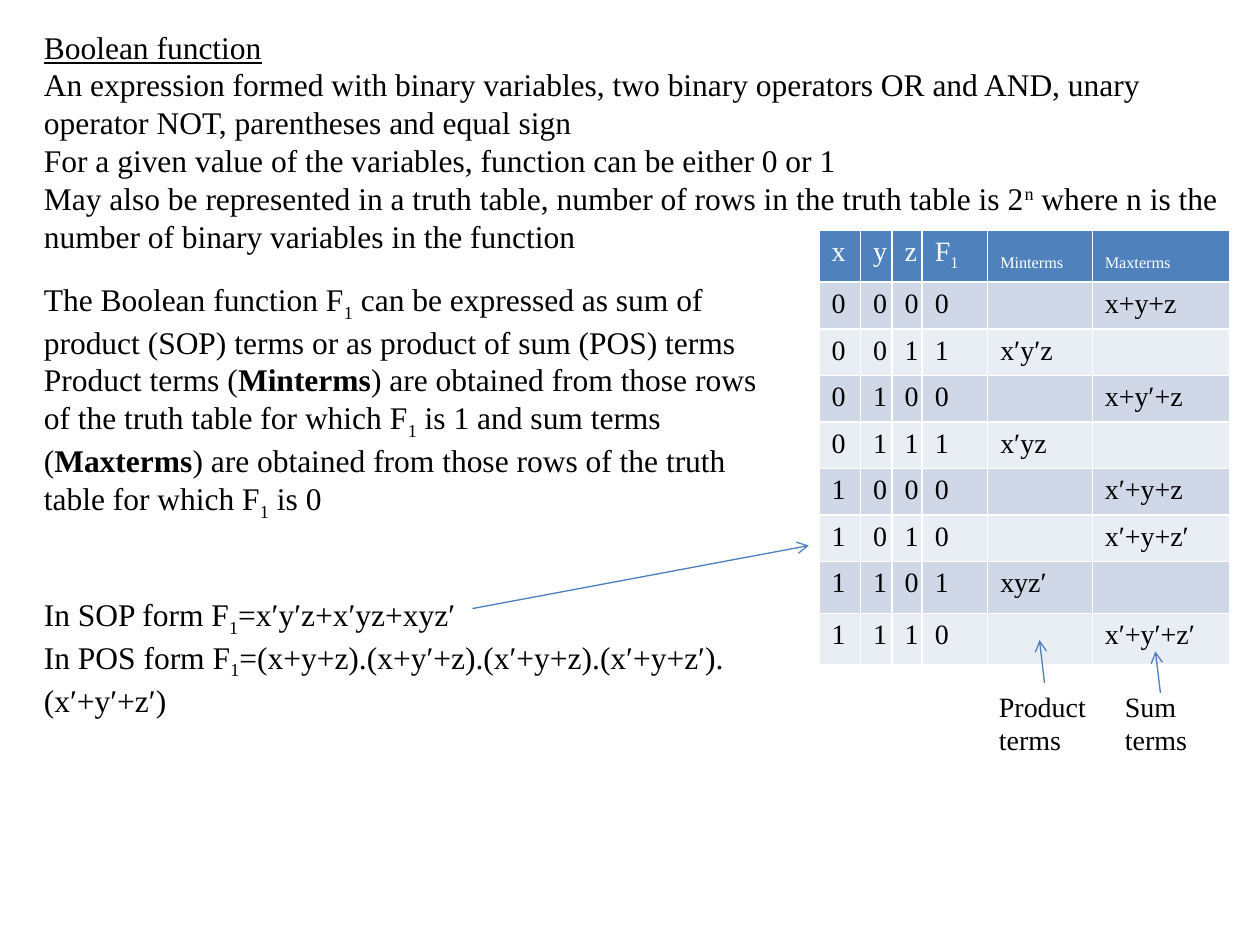
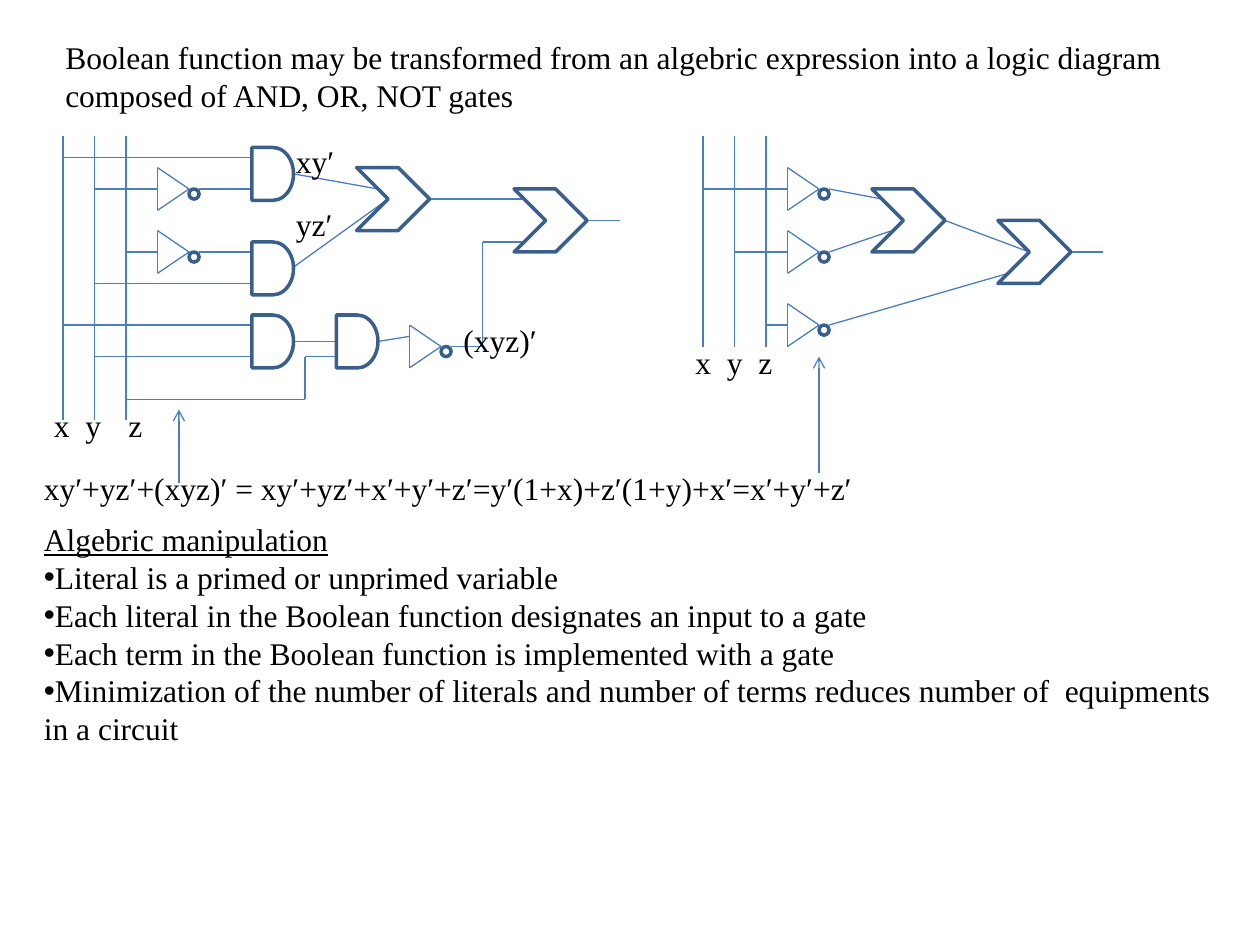
import pptx
import pptx.dml.color
import pptx.enum.shapes
import pptx.enum.text
import pptx.oxml.ns
import pptx.util
import lxml.etree

Inches = pptx.util.Inches
Pt = pptx.util.Pt
qn = pptx.oxml.ns.qn
color = pptx.dml.color.RGBColor.from_string
MSO_SHAPE = pptx.enum.shapes.MSO_SHAPE

FONT = "Times New Roman"
BLACK, WHITE = "000000", "FFFFFF"
WIRE, GATE = "4B7EBC", "3A5F8C"
HEADER, BAND_DARK, BAND_LIGHT = "4F81BD", "D0D8E8", "E9EDF4"
BASELINES = {"sub": "-25000", "sup": "30000"}
SUB_1 = ("1", "sub")


def write(frame, paragraphs, size=18, ink=BLACK):
    frame.word_wrap = True
    for number, pieces in enumerate(paragraphs):
        paragraph = frame.add_paragraph() if number else frame.paragraphs[0]
        paragraph.font.name = FONT
        paragraph.font.size = Pt(size)
        paragraph.font.color.rgb = color(ink)
        paragraph.font.bold = False
        for piece in [pieces] if isinstance(pieces, str) else pieces:
            text, style = (piece, None) if isinstance(piece, str) else piece
            run = paragraph.add_run()
            run.text = text
            if style == "bold":
                run.font.bold = True
            elif style == "underline":
                run.font.underline = True
            elif style:
                run.font._element.set("baseline", BASELINES[style])


def wire(slide, x1, y1, x2, y2, arrow=False):
    connector = slide.shapes.add_connector(
        pptx.enum.shapes.MSO_CONNECTOR.STRAIGHT,
        Inches(x1), Inches(y1), Inches(x2), Inches(y2))
    connector.line.color.rgb = color(WIRE)
    connector.line.width = Pt(0.75)
    if arrow:
        lxml.etree.SubElement(connector.line._get_or_add_ln(), qn("a:tailEnd"), type="arrow")
    lxml.etree.SubElement(connector._element.spPr, qn("a:effectLst"))


deck = pptx.Presentation()
deck.slide_width, deck.slide_height = Inches(10), Inches(7.5)
function_slide = deck.slides.add_slide(deck.slide_layouts[6])
diagram_slide = deck.slides.add_slide(deck.slide_layouts[6])

headers = ["x", "y", "z", ["F", SUB_1], [("Minterms", "sub")], [("Maxterms", "sub")]]
terms = ["x+y+z", "x′y′z", "x+y′+z", "x′yz", "x′+y+z", "x′+y+z′", "xyz′", "x′+y′+z′"]
truth_rows = [headers]
for number, term in enumerate(terms):
    is_minterm = "+" not in term
    truth_rows.append([*f"{number:03b}", str(int(is_minterm)),
                       term if is_minterm else "", "" if is_minterm else term])

truth_table = function_slide.shapes.add_table(
    9, 6, Inches(6.5), Inches(1.83), Inches(3.25), Inches(3.42)).table
for column, width in zip(truth_table.columns, [0.33, 0.25, 0.23, 0.52, 0.83, 1.09]):
    column.width = Inches(width)
for row, height in zip(truth_table.rows, [0.41] + [0.37] * 6 + [0.41] * 2):
    row.height = Inches(height)
for r, values in enumerate(truth_rows):
    for c, value in enumerate(values):
        cell = truth_table.cell(r, c)
        cell.fill.solid()
        cell.fill.fore_color.rgb = color(
            HEADER if r == 0 else BAND_DARK if r % 2 else BAND_LIGHT)
        write(cell.text_frame, [value] if value else [[]], 16, BLACK if r else WHITE)

definition = [
    [("Boolean function", "underline")],
    "An expression formed with binary variables, two binary operators OR and AND, unary",
    "operator NOT, parentheses and equal sign",
    "For a given value of the variables, function can be either 0 or 1",
    ["May also be represented in a truth table, number of rows in the truth table is 2",
     ("n", "sup"), " where n is the number of binary variables in the function"],
]
standard_forms = [
    ["The Boolean function F", SUB_1,
     " can be expressed as sum of product (SOP) terms or as product of sum (POS) terms"],
    ["Product terms (", ("Minterms", "bold"),
     ") are obtained from those rows of the truth table for which F", SUB_1,
     " is 1 and sum terms (", ("Maxterms", "bold"),
     ") are obtained from those rows of the truth table for which F", SUB_1, " is 0"],
]
expansions = [
    ["In SOP form F", SUB_1, "=x′y′z+x′yz+xyz′"],
    ["In POS form F", SUB_1, "=(x+y+z).(x+y′+z).(x′+y+z).(x′+y+z′).(x′+y′+z′)"],
]
introduction = ("Boolean function may be transformed from an algebric expression "
                "into a logic diagram composed of AND, OR, NOT gates")
simplification = "xy′+yz′+(xyz)′ = xy′+yz′+x′+y′+z′=y′(1+x)+z′(1+y)+x′=x′+y′+z′"
manipulation = [
    [("Algebric manipulation", "underline")],
    "Literal is a primed or unprimed variable",
    "Each literal in the Boolean function designates an input to a gate",
    "Each term in the Boolean function is implemented with a gate",
    "Minimization of the number of literals and number of terms reduces "
    "number of  equipments in a circuit",
]

for x1, y1, x2, y2 in [(3.75, 4.83, 6.42, 4.33), (8.29, 5.42, 8.25, 5.08),
                       (9.21, 5.5, 9.17, 5.17)]:
    wire(function_slide, x1, y1, x2, y2, arrow=True)
for x1, y1, x2, y2 in [(1.42, 3.83, 1.42, 3.25), (6.5, 3.75, 6.5, 2.83)]:
    wire(diagram_slide, x1, y1, x2, y2, arrow=True)

for first_input, bottom in [(0.5, 3.33), (5.58, 2.75)]:
    for position in range(3):
        x = first_input + position * 0.25
        wire(diagram_slide, x, 1.08, x, bottom)

full_circuit_wires = [
    (0.5, 1.25, 2, 1.25), (0.75, 1.5, 1.25, 1.5), (1.58, 1.5, 2, 1.5),
    (1, 2, 1.25, 2), (1.58, 2, 2, 2), (0.75, 2.25, 2, 2.25),
    (0.5, 2.58, 2, 2.58), (0.75, 2.83, 2, 2.83), (2.33, 2.71, 2.67, 2.71),
    (1, 3.17, 2.42, 3.17), (2.42, 3.17, 2.42, 2.83), (2.42, 2.83, 2.67, 2.83),
    (2.33, 1.38, 3, 1.5), (2.33, 2.12, 3.08, 1.58), (3.42, 1.58, 4.17, 1.58),
    (3, 2.71, 3.25, 2.67), (3.58, 2.75, 3.83, 2.75), (3.83, 2.75, 3.83, 1.92),
    (3.83, 1.92, 4.17, 1.92), (4.67, 1.75, 4.92, 1.75),
]
reduced_circuit_wires = [
    (5.58, 1.5, 6.25, 1.5), (5.83, 2, 6.25, 2), (6.08, 2.58, 6.25, 2.58),
    (6.58, 1.5, 7, 1.58), (6.58, 2, 7.08, 1.83), (6.58, 2.58, 8, 2.17),
    (7.5, 1.75, 8.17, 2), (8.5, 2, 8.75, 2),
]
for ends in full_circuit_wires + reduced_circuit_wires:
    wire(diagram_slide, *ends)

inverters = [(1.25, 1.5), (1.25, 2), (3.25, 2.75), (6.25, 1.5), (6.25, 2), (6.25, 2.58)]
for x, y in inverters:
    wire(diagram_slide, x, y - 0.17, x, y + 0.17)
    wire(diagram_slide, x, y - 0.17, x + 0.25, y)
    wire(diagram_slide, x, y + 0.17, x + 0.25, y)

gates = [
    (MSO_SHAPE.OVAL, 0.08, 0.08, [(x + 0.25, y) for x, y in inverters]),
    (MSO_SHAPE.FLOWCHART_DELAY, 0.33, 0.42, [(2, 1.17), (2, 1.92), (2, 2.5), (2.67, 2.5)]),
    (MSO_SHAPE.CHEVRON, 0.58, 0.5, [(2.83, 1.33), (4.08, 1.5), (6.92, 1.5), (7.92, 1.75)]),
]
for outline, width, height, places in gates:
    for x, y in places:
        gate = diagram_slide.shapes.add_shape(
            outline, Inches(x), Inches(y), Inches(width), Inches(height))
        gate.shadow.inherit = False
        gate.fill.background()
        gate.line.color.rgb = color(GATE)
        gate.line.width = Pt(2)

passages = [
    (function_slide, 0.25, 0.17, 9.58, 1.92, definition, 18),
    (function_slide, 0.25, 2.17, 6, 1.92, standard_forms, 18),
    (function_slide, 0.25, 4.67, 5.83, 1.01, expansions, 18),
    (function_slide, 7.83, 5.42, 0.92, 0.64, ["Product terms"], 16),
    (function_slide, 8.83, 5.42, 0.75, 0.64, ["Sum terms"], 16),
    (diagram_slide, 0.42, 0.25, 9.17, 0.71, [introduction], 18),
    (diagram_slide, 0.25, 3.67, 9.25, 0.4, [simplification], 18),
    (diagram_slide, 0.25, 4.08, 9.58, 1.92, manipulation, 18),
]
signals = [
    ("x", 0.33, 3.17, 0.25), ("y", 0.58, 3.17, 0.25), ("z", 0.92, 3.17, 0.25),
    ("x", 5.42, 2.67, 0.25), ("y", 5.67, 2.67, 0.25), ("z", 5.92, 2.67, 0.25),
    ("xy′", 2.25, 1.08, 0.58), ("yz′", 2.25, 1.58, 0.58), ("(xyz)′", 3.58, 2.5, 0.83),
]
passages += [(diagram_slide, x, y, width, 0.4, [name], 18) for name, x, y, width in signals]

for slide, x, y, width, height, paragraphs, size in passages:
    frame = slide.shapes.add_textbox(
        Inches(x), Inches(y), Inches(width), Inches(height)).text_frame
    write(frame, paragraphs, size)
    frame.auto_size = pptx.enum.text.MSO_AUTO_SIZE.SHAPE_TO_FIT_TEXT
    if paragraphs is manipulation:
        for point in frame.paragraphs[1:]:
            properties = point._p.get_or_add_pPr()
            bullet_font = lxml.etree.Element(qn("a:buFont"), typeface="Arial")
            bullet = lxml.etree.Element(qn("a:buChar"), char="•")
            properties.insert(0, bullet_font)
            properties.insert(1, bullet)

deck.save("out.pptx")
